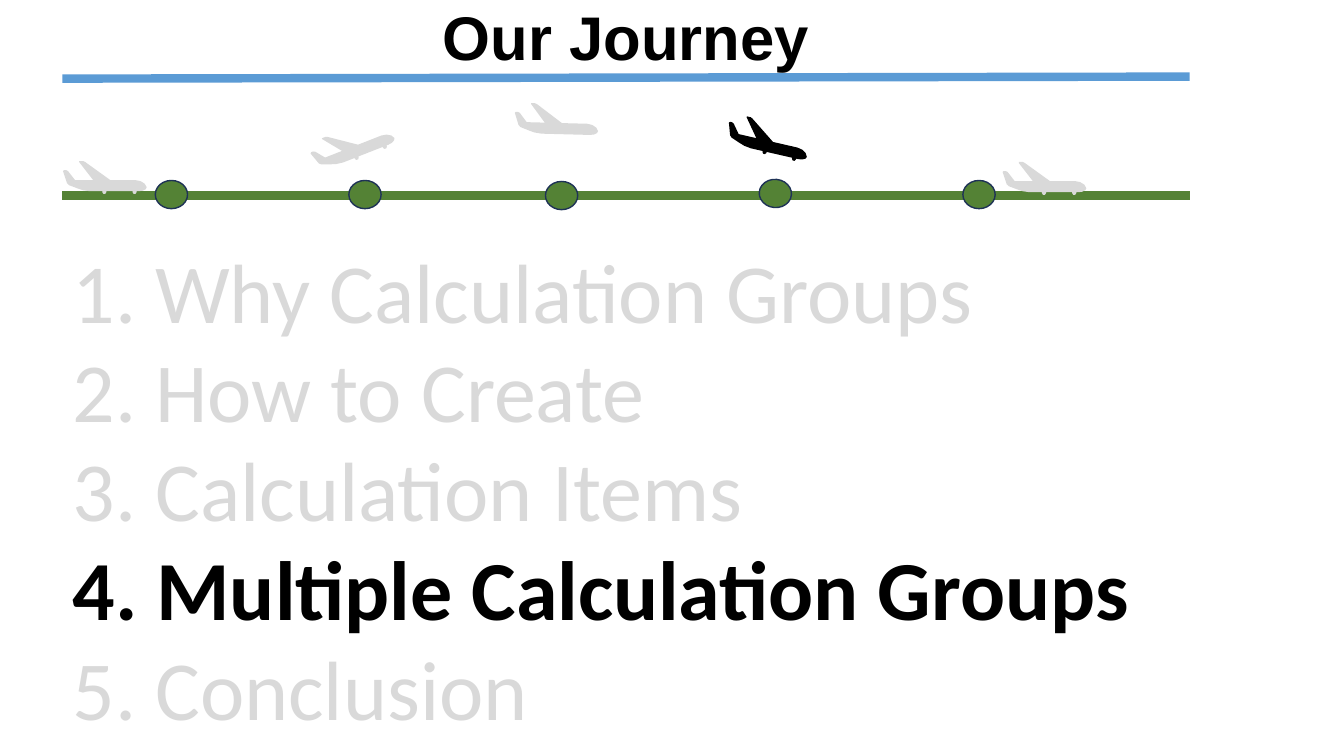
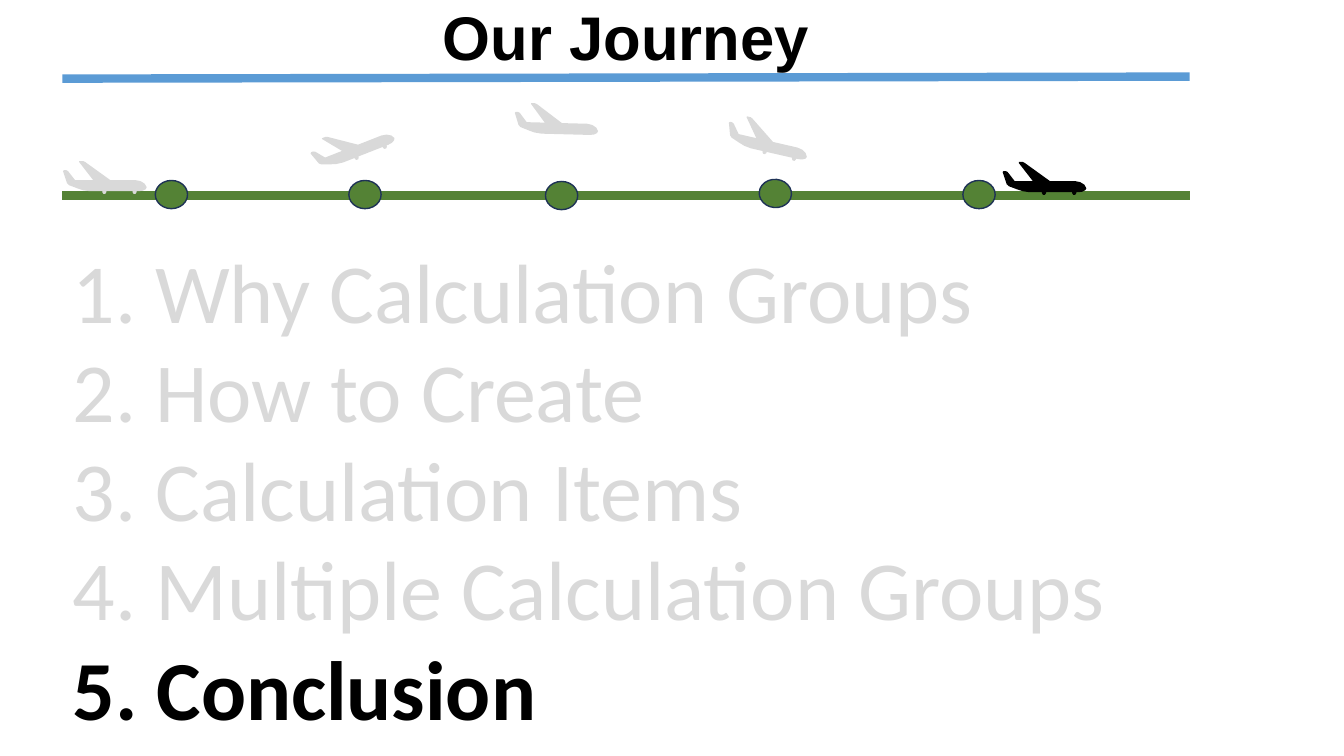
from dataclasses import dataclass

from lxml import etree
from pptx import Presentation
from pptx.dml.color import RGBColor
from pptx.enum.shapes import MSO_CONNECTOR, MSO_SHAPE
from pptx.enum.text import MSO_ANCHOR, MSO_AUTO_SIZE, PP_ALIGN
from pptx.oxml.ns import qn
from pptx.presentation import Presentation as PresentationType
from pptx.shapes.shapetree import GroupShapes
from pptx.slide import Slide
from pptx.util import Inches, Pt

STRAIGHT = MSO_CONNECTOR.STRAIGHT
OVAL = MSO_SHAPE.OVAL
TOP, MIDDLE = MSO_ANCHOR.TOP, MSO_ANCHOR.MIDDLE
FIXED_SIZE, GROW = MSO_AUTO_SIZE.NONE, MSO_AUTO_SIZE.SHAPE_TO_FIT_TEXT
LEFT, CENTER = PP_ALIGN.LEFT, PP_ALIGN.CENTER

BLACK, FADED = "000000", "D9D9D9"
SKY, GROUND, DOT_EDGE = "5B9BD5", "548235", "1E3256"

MARGIN, CONTENT_WIDTH = 0.62, 11.18
DOT_WIDTH, DOT_HEIGHT = 0.32, 0.28

TITLE_FRAME = {"vertical_anchor": MIDDLE, "auto_size": FIXED_SIZE, "word_wrap": True}
TITLE_PARAGRAPH = {"alignment": CENTER, "line_spacing": 0.9}
TITLE_FONT = {"name": "Arial", "size": Pt(44), "bold": True}
LIST_FRAME = {"vertical_anchor": TOP, "auto_size": GROW, "word_wrap": True}
LIST_PARAGRAPH = {"alignment": LEFT, "line_spacing": 0.9,
                  "space_before": Pt(0), "space_after": Pt(6)}
LIST_FONT = {"name": "Calibri", "size": Pt(60)}

# Side view of a level plane, in hundredths of an inch
PLANE_UPPER = [
    (72, 19), (47, 19), (22, 1), (20, 0), (16, 0), (16, 1), (30, 19), (12, 19),
    (5, 10), (3, 9), (1, 9), (0, 10), (4, 22), (6, 24), (14, 27), (20, 29),
    (27, 30), (34, 30),
]
PLANE_NOSE = [(75, 30), (79, 29.5), (82, 28), (83, 26), (81, 22.5), (77, 20)]
WHEEL = [(0, 30), (0, 31), (1, 32.5), (3, 32.5), (4, 31), (4, 30)]
WHEEL_LEFTS = (39, 69)


@dataclass(frozen=True)
class Stop:
    topic: str
    dot_left: float
    dot_top: float
    plane_center: tuple[float, float]
    plane_rotation: float = 0
    dot_rotation: float = 0
    wheels_down: bool = True


STOPS = [
    Stop("Why Calculation Groups", 1.54, 1.79, (1.04, 1.76)),
    Stop("How to Create", 3.46, 1.79, (3.49, 1.43), plane_rotation=-21.4),
    Stop("Calculation Items", 5.41, 1.8, (5.52, 1.18), plane_rotation=1.5,
         wheels_down=False),
    Stop("Multiple Calculation Groups", 7.53, 1.78, (7.62, 1.37),
         plane_rotation=12.9, dot_rotation=5.1),
    Stop("Conclusion", 9.55, 1.79, (10.36, 1.77)),
]


def color(hex_value: str) -> RGBColor:
    return RGBColor.from_string(hex_value)


def apply_format(target, values: dict) -> None:
    for name, value in values.items():
        setattr(target, name, value)


def place(shape, left: float, top: float, width: float, height: float) -> None:
    apply_format(shape, {"left": Inches(left), "top": Inches(top),
                         "width": Inches(width), "height": Inches(height)})


def remove_bullet(paragraph) -> None:
    properties = paragraph._p.get_or_add_pPr()
    properties.set("marL", "0")
    properties.set("indent", "0")
    etree.SubElement(properties, qn("a:buNone"))


def add_title(slide: Slide, text: str) -> None:
    title = slide.shapes.title
    place(title, MARGIN, 0, CONTENT_WIDTH, 0.8)
    apply_format(title.text_frame, TITLE_FRAME)
    title.text_frame.text = text
    paragraph = title.text_frame.paragraphs[0]
    apply_format(paragraph, TITLE_PARAGRAPH)
    apply_format(paragraph.runs[0].font, TITLE_FONT)
    paragraph.runs[0].font.color.rgb = color(BLACK)


def add_topics(slide: Slide, current: int) -> None:
    body = slide.placeholders[1]
    place(body, MARGIN, 2.44, CONTENT_WIDTH, 4.98)
    frame = body.text_frame
    apply_format(frame, LIST_FRAME)
    frame.text = "\n".join(f"{number}. {stop.topic}"
                           for number, stop in enumerate(STOPS, start=1))
    for number, paragraph in enumerate(frame.paragraphs, start=1):
        remove_bullet(paragraph)
        apply_format(paragraph, LIST_PARAGRAPH)
        font = paragraph.runs[0].font
        apply_format(font, LIST_FONT)
        font.bold = number == current
        font.color.rgb = color(BLACK if number == current else FADED)


def add_rule(shapes, start_y: float, end_y: float, line_color: str) -> None:
    rule = shapes.add_connector(STRAIGHT, Inches(MARGIN), Inches(start_y),
                                Inches(MARGIN + CONTENT_WIDTH), Inches(end_y))
    rule.line.color.rgb = color(line_color)
    rule.line.width = Pt(6)
    etree.SubElement(rule._element.spPr, qn("a:effectLst"))


def add_dot(shapes: GroupShapes, stop: Stop) -> None:
    dot = shapes.add_shape(OVAL, Inches(stop.dot_left), Inches(stop.dot_top),
                           Inches(DOT_WIDTH), Inches(DOT_HEIGHT))
    dot.rotation = stop.dot_rotation
    dot.shadow.inherit = False
    dot.fill.solid()
    dot.fill.fore_color.rgb = color(GROUND)
    dot.line.color.rgb = color(DOT_EDGE)
    dot.line.width = Pt(1)


def plane_outline(wheels_down: bool) -> list[tuple[int, int]]:
    """Return the outline as lengths from the top left of the plane."""
    wheels = [(left + x, y) for left in WHEEL_LEFTS for x, y in WHEEL]
    points = PLANE_UPPER + (wheels if wheels_down else []) + PLANE_NOSE
    return [(Inches(x / 100), Inches(y / 100)) for x, y in points]


def add_plane(shapes: GroupShapes, stop: Stop, fill_color: str) -> None:
    start, *others = plane_outline(stop.wheels_down)
    builder = shapes.build_freeform(*start)
    builder.add_line_segments(others, close=True)
    plane = builder.convert_to_shape()
    center_x, center_y = stop.plane_center
    plane.left = Inches(center_x) - plane.width // 2
    plane.top = Inches(center_y) - plane.height // 2
    plane.rotation = stop.plane_rotation
    plane.shadow.inherit = False
    plane.fill.solid()
    plane.fill.fore_color.rgb = color(fill_color)
    plane.line.fill.background()


def add_flight(slide: Slide, current: int) -> None:
    shapes = slide.shapes.add_group_shape().shapes
    add_rule(shapes, 1.94, 1.94, GROUND)
    for number, stop in enumerate(STOPS, start=1):
        add_dot(shapes, stop)
        add_plane(shapes, stop, BLACK if number == current else FADED)


def add_journey_slide(presentation: PresentationType, current: int) -> None:
    """Add the agenda with the current topic, counted from 1, highlighted."""
    slide = presentation.slides.add_slide(presentation.slide_layouts[1])
    add_title(slide, "Our Journey")
    add_topics(slide, current)
    add_rule(slide.shapes, 0.78, 0.76, SKY)
    add_flight(slide, current)


def main() -> None:
    presentation = Presentation()
    presentation.slide_width = Inches(13.33)
    presentation.slide_height = Inches(7.5)
    for current in (4, 5):
        add_journey_slide(presentation, current)
    presentation.save("out.pptx")


if __name__ == "__main__":
    main()
